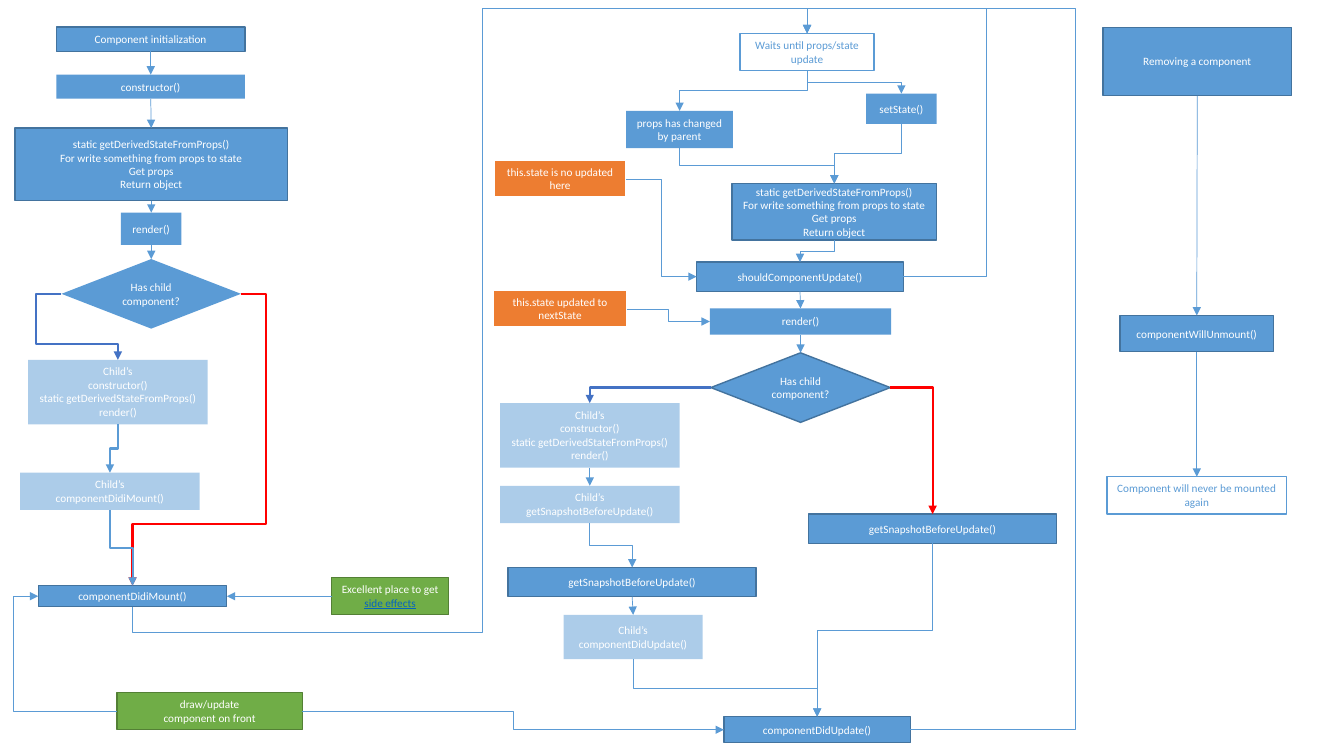
from lxml import etree
from pptx import Presentation
from pptx.dml.color import RGBColor
from pptx.enum.shapes import MSO_CONNECTOR as CONN, MSO_SHAPE as SHAPE
from pptx.enum.text import MSO_ANCHOR as ANCHOR, MSO_AUTO_SIZE as FIT, PP_ALIGN as ALIGN
from pptx.oxml.ns import qn
from pptx.util import Inches, Pt

BLUE, EDGE, WHITE, NAVY, RED = "5B9BD5", "43739E", "FFFFFF", "4472C4", "FF0000"
THIN, THICK = 0.5, 1.5
SITES = {"top": 0, "left": 1, "bottom": 2, "right": 3}
LOOP_TOP, LOOP_LEFT, LOOP_INNER, LOOP_RIGHT = 0.08, 4.79, 9.78, 10.67

# style: fill, line, line width, text colour, anchored in the middle
STYLES = {
    "key": (BLUE, EDGE, 1, WHITE, True),
    "plain": (BLUE, None, 0, WHITE, True),
    "child": (BLUE, None, 0, WHITE, False),
    "wait": (WHITE, BLUE, 1, BLUE, True),
    "end": (WHITE, BLUE, 1, BLUE, False),
    "state": ("ED7D31", WHITE, 1.5, WHITE, False),
    "effect": ("70AD47", "538035", 1, WHITE, False),
}
DERIVE = ("static getDerivedStateFromProps()\nFor write something from props to state\n"
          "Get props\nReturn object")
CHILD_RENDER = "Child’s\nconstructor()\nstatic getDerivedStateFromProps()\nrender()"
QUESTION = "Has child component?"


def rgb(hex_color):
    """Turn a hex string into a colour."""
    return RGBColor.from_string(hex_color)


def add_node(s, style, x, y, w, h, text, shape=SHAPE.RECTANGLE):
    """Draw one labelled step of the flow."""
    fill, line, width, color, middle = STYLES[style]
    sp = s.shapes.add_shape(shape, Inches(x), Inches(y), Inches(w), Inches(h))
    sp.shadow.inherit = False
    sp.fill.solid()
    sp.fill.fore_color.rgb = rgb(fill)
    if style == "child":
        srgb = next(sp.element.spPr.iter(qn("a:srgbClr")))
        etree.SubElement(srgb, qn("a:alpha"), val="50000")
    if line:
        sp.line.color.rgb = rgb(line)
        sp.line.width = Pt(width)
    else:
        sp.line.fill.background()
    tf = sp.text_frame
    tf.text = text
    tf.word_wrap = True
    tf.vertical_anchor = ANCHOR.MIDDLE if middle else ANCHOR.TOP
    tf.auto_size = FIT.NONE if middle else FIT.SHAPE_TO_FIT_TEXT
    for p in tf.paragraphs:
        p.alignment = ALIGN.CENTER
        for r in p.runs:
            style_run(r, color)
    return sp


def style_run(r, color):
    """Set the font of a run."""
    r.font.name = "Calibri"
    r.font.size = Pt(8)
    r.font.color.rgb = rgb(color)


def add_nodes(s, box, rows):
    """Draw the named steps of a region and return them by name."""
    left, top = box
    return {name: add_node(s, style, left + x, top + y, *rest)
            for name, style, x, y, *rest in rows}


def link(s, start, side, end, end_side, color=BLUE, width=THIN, bends=None):
    """Join two steps with an arrow that turns at the given positions."""
    c = s.shapes.add_connector(CONN.ELBOW, 0, 0, 0, 0)
    c.begin_connect(start, SITES[side])
    c.end_connect(end, SITES[end_side])
    begin, finish = (c.begin_x, c.begin_y), (c.end_x, c.end_y)
    dx, dy = finish[0] - begin[0], finish[1] - begin[1]
    geom = c.element.spPr.find(qn("a:prstGeom"))
    if min(abs(dx), abs(dy)) < Inches(0.03):
        geom.set("prst", "straightConnector1")
    else:
        vertical = side in ("top", "bottom")
        if bends is None:
            ratios = [0.5]
        else:
            axes = [(i + vertical) % 2 for i in range(len(bends))]
            ratios = [(Inches(b) - begin[a]) / (finish[a] - begin[a])
                      for b, a in zip(bends, axes)]
        geom.set("prst", f"bentConnector{len(ratios) + 2}")
        for i, ratio in enumerate(ratios, 1):
            etree.SubElement(geom.find(qn("a:avLst")), qn("a:gd"),
                             name=f"adj{i}", fmla=f"val {round(ratio * 100000)}")
        if vertical:
            cx, cy = begin[0] + dx / 2, begin[1] + dy / 2
            c.begin_x, c.begin_y = int(cx - dy / 2), int(cy + dx / 2)
            c.end_x, c.end_y = int(cx + dy / 2), int(cy - dx / 2)
            c.rotation = 90
    c.line.color.rgb = rgb(color)
    c.line.width = Pt(width)
    etree.SubElement(c.line._get_or_add_ln(), qn("a:tailEnd"), type="triangle")
    etree.SubElement(c.element.spPr, qn("a:effectLst"))


def chain(s, nodes, *names):
    """Join steps from top to bottom with thin arrows."""
    for a, b in zip(names, names[1:]):
        link(s, nodes[a], "bottom", nodes[b], "top")


def add_mounting(s, box):
    """Draw the first mount of a component."""
    n = add_nodes(s, box, [
        ("init", "key", 0.46, 0.07, 1.87, 0.24, "Component initialization"),
        ("constructor", "plain", 0.46, 0.54, 1.87, 0.24, "constructor()"),
        ("derive", "key", 0.05, 1.07, 2.7, 0.72, DERIVE),
        ("render", "plain", 1.1, 1.91, 0.6, 0.32, "render()"),
        ("has_child", "plain", 0.51, 2.37, 1.78, 0.69, QUESTION, SHAPE.DIAMOND),
        ("child_render", "child", 0.18, 3.37, 1.78, 0.64, CHILD_RENDER),
        ("child_mount", "child", 0.1, 4.49, 1.78, 0.37, "Child’s\ncomponentDidiMount()"),
        ("mount", "key", 0.28, 5.61, 1.87, 0.21, "componentDidiMount()"),
        ("effects", "effect", 3.19, 5.53, 1.16, 0.37, "Excellent place to get "),
        ("draw", "effect", 1.06, 6.67, 1.84, 0.37, "draw/update\ncomponent on front"),
    ])
    r = n["effects"].text_frame.paragraphs[0].add_run()
    r.text = "side effects"
    style_run(r, "0563C1")
    r.font.underline = True

    x, y = box
    chain(s, n, "init", "constructor", "derive", "render", "has_child")
    link(s, n["effects"], "left", n["mount"], "right")
    link(s, n["draw"], "left", n["mount"], "left", bends=[x + 0.03])
    link(s, n["has_child"], "left", n["child_render"], "top", NAVY, THICK, [x + 0.26, y + 3.21])
    link(s, n["has_child"], "right", n["mount"], "top", RED, THICK, [x + 2.54, y + 5])
    link(s, n["child_render"], "bottom", n["child_mount"], "top", width=THICK)
    link(s, n["child_mount"], "bottom", n["mount"], "top", width=THICK)
    return n


def add_updating(s, box):
    """Draw the update cycle of a component."""
    n = add_nodes(s, box, [
        ("wait", "wait", 2.54, 0.13, 1.33, 0.37, "Waits until props/state update"),
        ("props", "plain", 1.41, 0.9, 1.06, 0.37, "props has changed by parent"),
        ("set_state", "plain", 3.79, 0.73, 0.7, 0.3, "setState()"),
        ("old_state", "state", 0.1, 1.39, 1.31, 0.37, "this.state is no updated here"),
        ("derive", "key", 2.46, 1.62, 2.03, 0.56, DERIVE),
        ("should", "key", 2.11, 2.4, 2.05, 0.29, "shouldComponentUpdate()"),
        ("new_state", "state", 0.09, 2.68, 1.33, 0.37, "this.state updated to nextState"),
        ("render", "plain", 2.24, 2.86, 1.8, 0.26, "render()"),
        ("has_child", "key", 2.25, 3.3, 1.78, 0.69, QUESTION, SHAPE.DIAMOND),
        ("child_render", "child", 0.16, 3.8, 1.78, 0.64, CHILD_RENDER),
        ("child_snap", "child", 0.16, 4.62, 1.78, 0.37, "Child’s\ngetSnapshotBeforeUpdate()"),
        ("snap", "key", 0.24, 5.43, 2.46, 0.29, "getSnapshotBeforeUpdate()"),
        ("child_update", "child", 0.79, 5.9, 1.38, 0.44, "Child’s\ncomponentDidUpdate()"),
        ("lone_snap", "key", 3.22, 4.9, 2.46, 0.29, "getSnapshotBeforeUpdate()"),
        ("update", "key", 2.38, 6.91, 1.85, 0.26, "componentDidUpdate()"),
    ])
    n["child_update"].text_frame.vertical_anchor = ANCHOR.MIDDLE
    n["child_update"].text_frame.auto_size = FIT.NONE
    chain(s, n, "wait", "props", "derive", "should", "render", "has_child")
    chain(s, n, "wait", "set_state", "derive")
    chain(s, n, "child_render", "child_snap", "snap", "child_update", "update")
    chain(s, n, "lone_snap", "update")
    link(s, n["old_state"], "right", n["should"], "left")
    link(s, n["new_state"], "right", n["render"], "left")
    link(s, n["has_child"], "left", n["child_render"], "top", NAVY, THICK, [])
    link(s, n["has_child"], "right", n["lone_snap"], "top", RED, THICK, [])
    return n


def add_removing(s, box):
    """Draw the removal of a component."""
    n = add_nodes(s, box, [
        ("remove", "key", 0.04, 0.07, 1.87, 0.68, "Removing a component"),
        ("unmount", "key", 0.21, 2.93, 1.52, 0.36, "componentWillUnmount()"),
        ("gone", "end", 0.08, 4.53, 1.78, 0.37, "Component will never be mounted again"),
    ])
    chain(s, n, "remove", "unmount", "gone")


def add_loops(s, mounting, updating):
    """Join the regions and lead the finished steps back to the wait."""
    wait = updating["wait"]
    link(s, mounting["draw"], "right", updating["update"], "left")
    link(s, mounting["mount"], "bottom", wait, "top", bends=[6.27, LOOP_LEFT, LOOP_TOP])
    for name, x in (("should", LOOP_INNER), ("update", LOOP_RIGHT)):
        link(s, updating[name], "right", wait, "top", bends=[x, LOOP_TOP])


def main():
    """Build the lifecycle slide."""
    prs = Presentation()
    prs.slide_width, prs.slide_height = Inches(13.33), Inches(7.5)
    s = prs.slides.add_slide(prs.slide_layouts[6])
    mounting = add_mounting(s, (0.1, 0.2))
    updating = add_updating(s, (4.8, 0.2))
    add_removing(s, (10.9, 0.2))
    add_loops(s, mounting, updating)
    prs.save("out.pptx")


if __name__ == "__main__":
    main()
